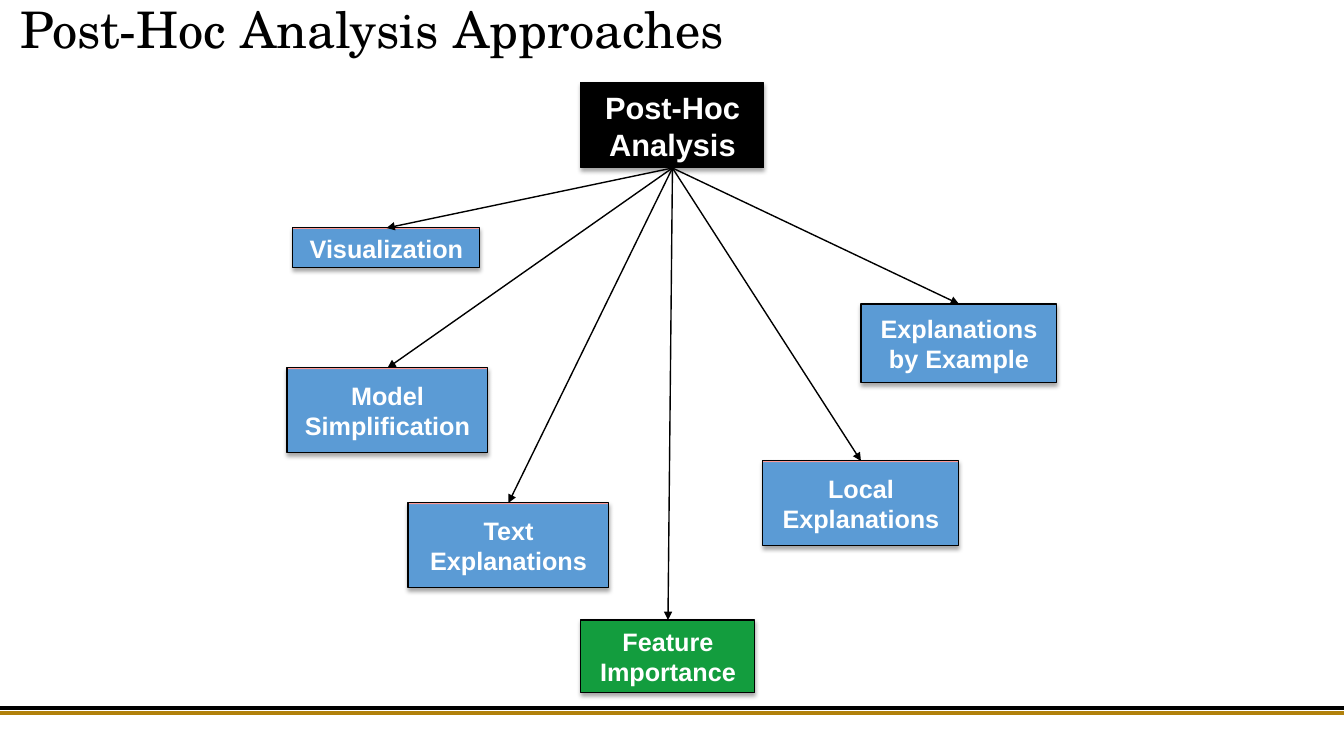
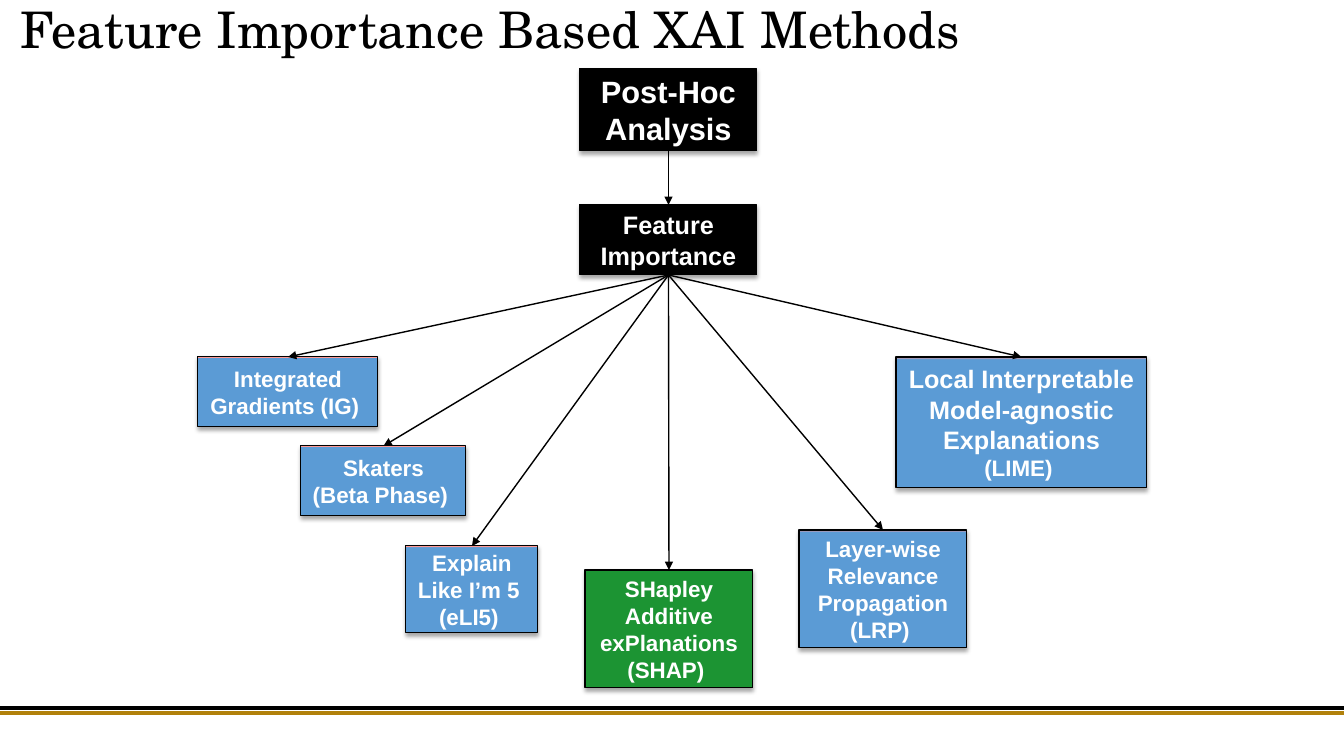
from typing import NamedTuple

from pptx import Presentation
from pptx import util as u
from pptx.dml.color import RGBColor
from pptx.enum import shapes, text
from pptx.oxml import parse_xml
from pptx.oxml.ns import nsdecls, qn

PX = 914400 / 100.8
SLIDE_W, SLIDE_H = 1344, 756
TOP, BOTTOM = 0, 2  # connection sites of a rectangle

BLACK = RGBColor(0x00, 0x00, 0x00)
WHITE = RGBColor(0xFF, 0xFF, 0xFF)
GOLD = RGBColor(0xB1, 0x81, 0x0B)
BLUE = RGBColor(0x5B, 0x9B, 0xD5)
PINK = RGBColor(0xFF, 0x99, 0x95)
GREEN = RGBColor(0x13, 0x9D, 0x3E)
DARK_GREEN = RGBColor(0x1C, 0x94, 0x33)

TITLE_FONT, BOX_FONT = "TeX Gyre Schola", "Arial"


class Node(NamedTuple):
    """A box of the tree; without a fill colour it gets the blue gradient."""
    label: str
    box: tuple
    size: int
    fill: RGBColor = None
    last_size: int = None


APPROACHES_ROOT = Node("Post-Hoc Analysis", (581, 83, 183, 85), 22, BLACK)
APPROACHES = [
    Node("Visualization", (293, 228, 187, 40), 18),
    Node("Model Simplification", (287, 368, 201, 85), 18),
    Node("Text Explanations", (408, 503, 201, 85), 18),
    Node("Feature Importance", (581, 620, 174, 73), 18, GREEN),
    Node("Local Explanations", (763, 461, 196, 85), 18),
    Node("Explanations by Example", (861, 304, 196, 79), 18),
]

METHODS_ROOT = Node("Post-Hoc Analysis", (580, 69, 177, 82), 22, BLACK)
METHODS_BRANCH = Node("Feature Importance", (580, 205, 177, 70), 18, BLACK)
METHODS = [
    Node("Integrated Gradients (IG) ", (198, 357, 180, 70), 16),
    Node("Skaters\n(Beta Phase) ", (301, 446, 165, 70), 16),
    Node("Explain Like I’m 5 \n(eLI5) ", (406, 546, 132, 87), 16),
    Node("SHapley\nAdditive exPlanations\n(SHAP) ", (585, 570, 168, 118), 16, DARK_GREEN),
    Node("Layer-wise Relevance Propagation\n(LRP) ", (799, 530, 168, 118), 16),
    Node("Local Interpretable Model-agnostic Explanations\n(LIME) ",
         (896, 357, 251, 131), 18, last_size=16),
]


def px(length):
    return u.Emu(round(length * PX))


def set_font(font, name, size, color, bold=False):
    font.name, font.size, font.bold = name, u.Pt(size), bold
    font.color.rgb = color


def add_line(slide, start, end, color, width):
    line = slide.shapes.add_connector(
        shapes.MSO_CONNECTOR.STRAIGHT, *map(px, (*start, *end)))
    line.line.color.rgb = color
    line.line.width = u.Pt(width)
    line.element.spPr.append(parse_xml(f"<a:effectLst {nsdecls('a')}/>"))
    return line


def add_master_rules(prs, slide):
    """Draw the double rule at the foot and move it to the master."""
    for y, color in ((708, BLACK), (713, GOLD)):
        rule = add_line(slide, (0, y), (SLIDE_W, y), color, 2.25)
        prs.slide_master.shapes.element.append(rule.element)


def add_titled_slide(prs, heading):
    slide = prs.slides.add_slide(prs.slide_layouts[5])
    title = slide.shapes.title
    title.left, title.top, title.width, title.height = map(px, (0, 0, SLIDE_W, 83))
    frame = title.text_frame
    frame.text = heading
    frame.auto_size = text.MSO_AUTO_SIZE.NONE
    frame.vertical_anchor = text.MSO_ANCHOR.TOP
    frame.margin_left = px(20)
    paragraph = frame.paragraphs[0]
    paragraph.alignment = text.PP_ALIGN.LEFT
    paragraph.line_spacing = 0.9
    set_font(paragraph.runs[0].font, TITLE_FONT, 36, BLACK)
    return slide


def fill_box(fill, color):
    if color is not None:
        fill.solid()
        fill.fore_color.rgb = color
        return
    # Blue with a thin pink edge at the top
    fill.gradient()
    fill.gradient_angle = 90
    for stop, position, shade in zip(fill.gradient_stops, (0.98, 1), (BLUE, PINK)):
        stop.position = position
        stop.color.rgb = shade


def add_shadow(shape):
    shape.shadow.inherit = False
    shape.element.spPr.find(qn("a:effectLst")).append(parse_xml(
        f'<a:outerShdw {nsdecls("a")} blurRad="{u.Pt(3.1)}" dist="{u.Pt(1.8)}" '
        'dir="5400000" rotWithShape="0"><a:srgbClr val="000000">'
        '<a:alpha val="35000"/></a:srgbClr></a:outerShdw>'))


def add_node(slide, node):
    shape = slide.shapes.add_shape(shapes.MSO_SHAPE.RECTANGLE, *map(px, node.box))
    fill_box(shape.fill, node.fill)
    shape.line.color.rgb = BLACK
    shape.line.width = u.Pt(0.75)
    add_shadow(shape)
    frame = shape.text_frame
    frame.text = node.label
    frame.word_wrap = True
    frame.vertical_anchor = text.MSO_ANCHOR.MIDDLE
    for paragraph in frame.paragraphs:
        paragraph.alignment = text.PP_ALIGN.CENTER
        set_font(paragraph.runs[0].font, BOX_FONT, node.size, WHITE, bold=True)
    if node.last_size:
        frame.paragraphs[-1].runs[0].font.size = u.Pt(node.last_size)
    return shape


def add_arrow(slide, parent, child):
    arrow = add_line(slide, (0, 0), (0, 0), BLACK, 1)
    arrow.begin_connect(parent, BOTTOM)
    arrow.end_connect(child, TOP)
    arrow.line.fill  # the outline holds the arrowhead
    arrow.element.spPr.find(qn("a:ln")).append(
        parse_xml(f'<a:tailEnd {nsdecls("a")} type="triangle"/>'))


def add_branches(slide, parent, nodes):
    """Add the boxes below a parent, each with an arrow; return the boxes."""
    children = [add_node(slide, node) for node in nodes]
    for child in children:
        add_arrow(slide, parent, child)
    return children


def main():
    prs = Presentation()
    prs.slide_width, prs.slide_height = px(SLIDE_W), px(SLIDE_H)

    # Approaches
    slide = add_titled_slide(prs, "Post-Hoc Analysis Approaches")
    add_master_rules(prs, slide)
    add_branches(slide, add_node(slide, APPROACHES_ROOT), APPROACHES)

    # Methods based on feature importance
    slide = add_titled_slide(prs, "Feature Importance Based XAI Methods")
    root = add_node(slide, METHODS_ROOT)
    [branch] = add_branches(slide, root, [METHODS_BRANCH])
    add_branches(slide, branch, METHODS)

    prs.save("out.pptx")


if __name__ == "__main__":
    main()
